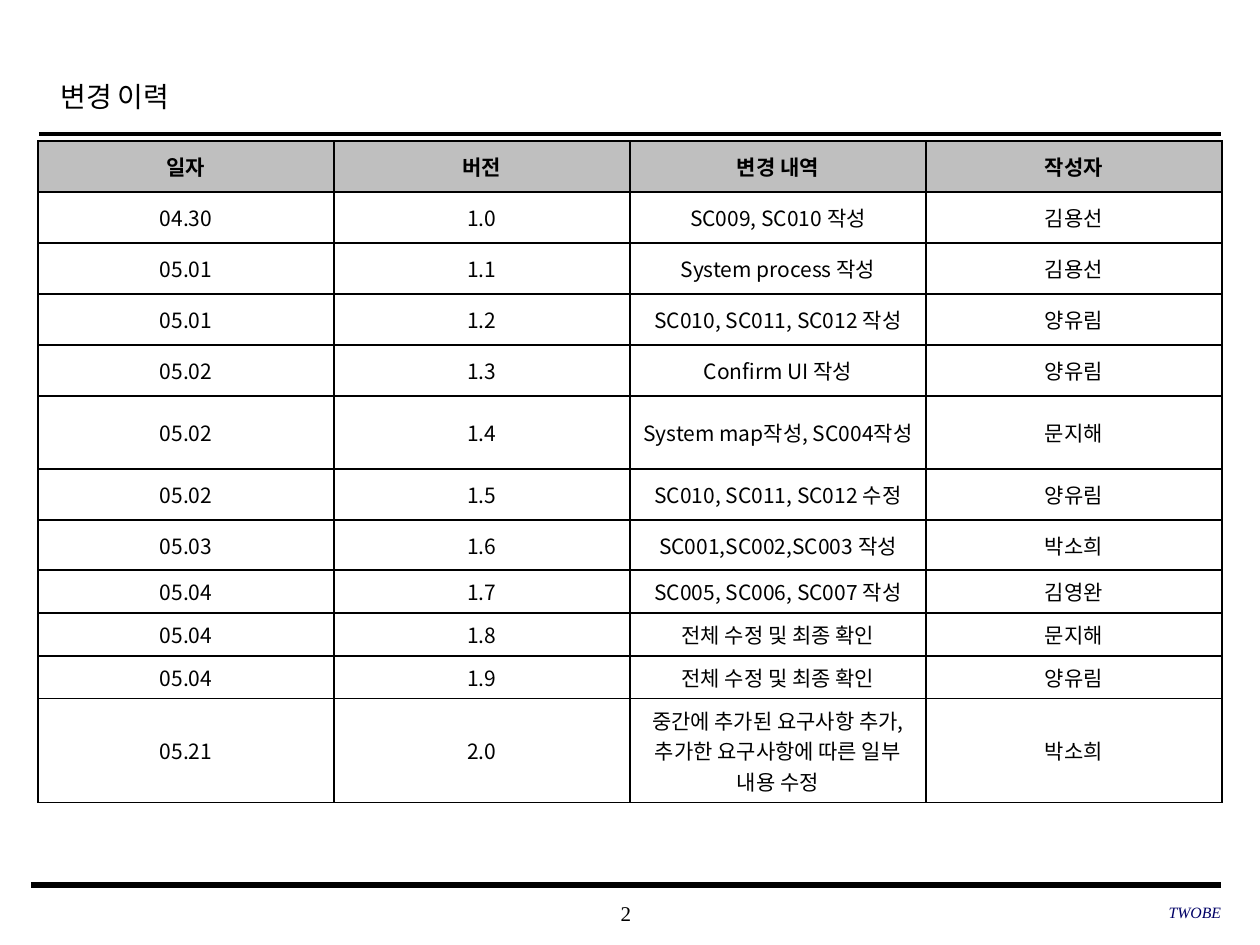
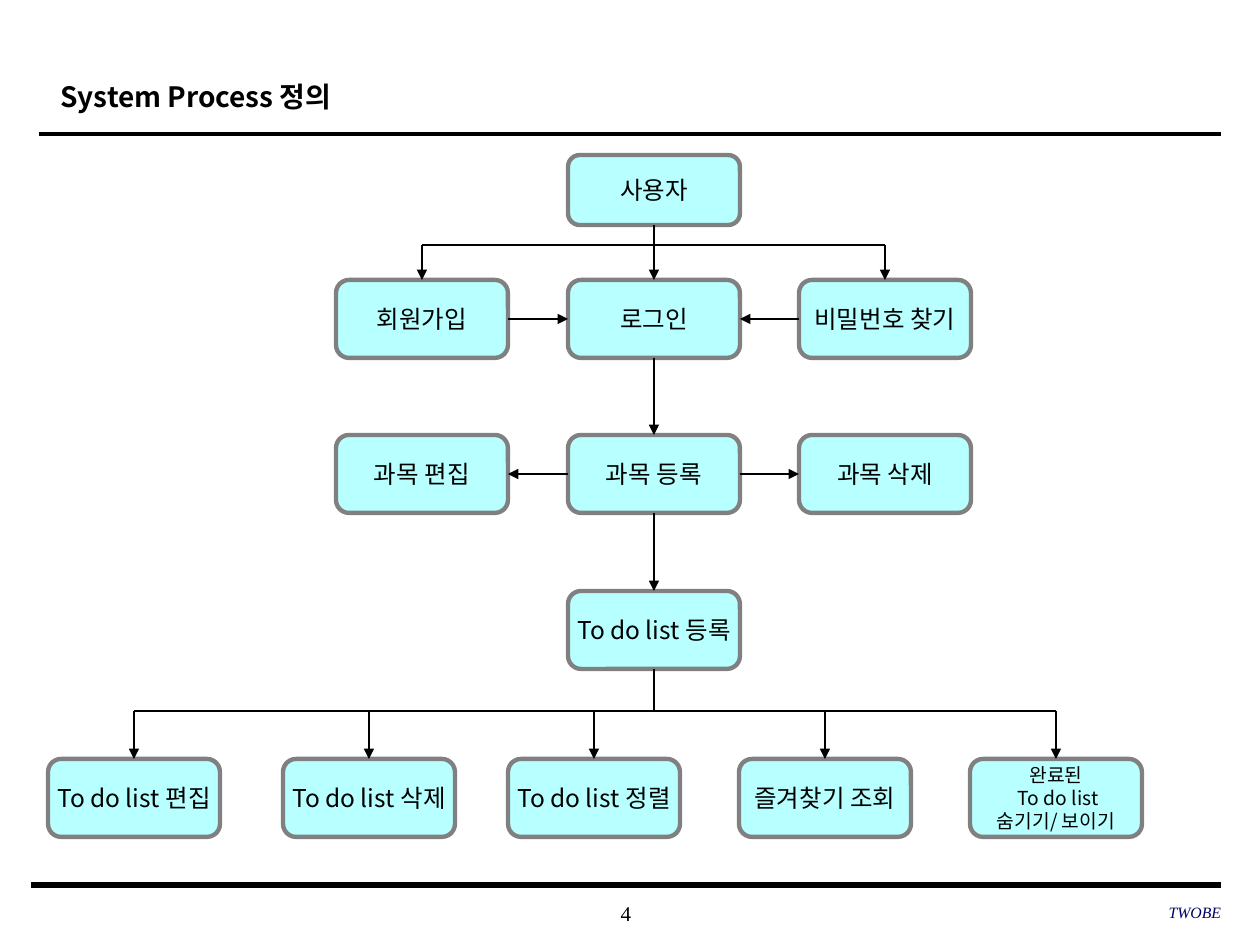
import pptx
import pptx.util
import pptx.dml.color
import pptx.enum.shapes
import pptx.enum.text
import pptx.oxml
import pptx.oxml.ns
import lxml.etree
import dataclasses

PIXEL = pptx.util.Inches(1) / 126
ALIGN = pptx.enum.text.PP_ALIGN
MIDDLE = pptx.enum.text.MSO_ANCHOR.MIDDLE
ROUNDED = pptx.enum.shapes.MSO_SHAPE.ROUNDED_RECTANGLE
STRAIGHT = pptx.enum.shapes.MSO_CONNECTOR.STRAIGHT


@dataclasses.dataclass(frozen=True)
class Theme:
    black: str = "000000"
    white: str = "FFFFFF"
    header: str = "BFBFBF"
    node: str = "B8FFFF"
    outline: str = "808080"
    navy: str = "000066"
    sans: str = "Noto Sans CJK KR"
    serif: str = "Times New Roman"
    title: float = 16
    label: float = 14
    body: float = 12
    small: float = 11
    footer: float = 9
    rule: float = 2.5
    heavy: float = 3
    thin: float = 1


theme = Theme()
rgb = pptx.dml.color.RGBColor.from_string


def write(frame, text, size, font, align=ALIGN.CENTER, bold=False, italic=False, color=theme.black):
    frame.text = text
    for para in frame.paragraphs:
        para.alignment = align
        for span in para.runs:
            span.font.size = pptx.util.Pt(size)
            span.font.name = font
            span.font.bold = bold
            span.font.italic = italic
            span.font.color.rgb = rgb(color)
            east = lxml.etree.SubElement(span.font._element, pptx.oxml.ns.qn("a:ea"))
            east.set("typeface", theme.sans)


def draw_line(page, points, width=theme.thin, arrow=False):
    line = page.shapes.add_connector(STRAIGHT, *[round(value * PIXEL) for value in points])
    line.line.color.rgb = rgb(theme.black)
    line.line.width = pptx.util.Pt(width)
    if arrow:
        tail = lxml.etree.SubElement(line.line._get_or_add_ln(), pptx.oxml.ns.qn("a:tailEnd"))
        tail.set("type", "triangle")
    lxml.etree.SubElement(line._element.spPr, pptx.oxml.ns.qn("a:effectLst"))


deck = pptx.Presentation()
deck.slide_width = round(1260 * PIXEL)
deck.slide_height = round(945 * PIXEL)

headings = [("변경 이력", "2", theme.serif, False), ("System Process 정의", "4", theme.sans, True)]
pages = []
for heading, number, font, bold in headings:
    page = deck.slides.add_slide(deck.slide_layouts[6])
    pages.append(page)
    draw_line(page, (39, 134, 1221, 134), theme.rule)
    draw_line(page, (31, 885, 1221, 885), theme.heavy)

    title = page.shapes.add_textbox(*[round(value * PIXEL) for value in (48, 62, 951, 63)])
    title.text_frame.word_wrap = True
    title.text_frame.vertical_anchor = MIDDLE
    write(title.text_frame, heading, theme.title, font, ALIGN.LEFT, bold)
    title.text_frame.paragraphs[0].line_spacing = 1.2

    footers = [
        ((495, 892, 262, 42), number, theme.body, ALIGN.CENTER, False, theme.black),
        ((835, 891, 386, 42), "TWOBE", theme.footer, ALIGN.RIGHT, True, theme.navy),
    ]
    for bounds, text, size, align, italic, color in footers:
        box = page.shapes.add_textbox(*[round(value * PIXEL) for value in bounds])
        frame = box.text_frame
        frame.word_wrap = True
        frame.vertical_anchor = MIDDLE
        frame.margin_left = frame.margin_right = frame.margin_top = frame.margin_bottom = 0
        write(frame, text, size, theme.serif, align, italic=italic, color=color)

history_page, process_page = pages

history = [
    ("일자", "버전", "변경 내역", "작성자"),
    ("04.30", "1.0", "SC009, SC010 작성", "김용선"),
    ("05.01", "1.1", "System process 작성", "김용선"),
    ("05.01", "1.2", "SC010, SC011, SC012 작성", "양유림"),
    ("05.02", "1.3", "Confirm UI 작성", "양유림"),
    ("05.02", "1.4", "System map작성, SC004작성", "문지해"),
    ("05.02", "1.5", "SC010, SC011, SC012 수정", "양유림"),
    ("05.03", "1.6", "SC001,SC002,SC003 작성", "박소희"),
    ("05.04", "1.7", "SC005, SC006, SC007 작성", "김영완"),
    ("05.04", "1.8", "전체 수정 및 최종 확인", "문지해"),
    ("05.04", "1.9", "전체 수정 및 최종 확인", "양유림"),
    ("05.21", "2.0", "중간에 추가된 요구사항 추가, 추가한 요구사항에 따른 일부 내용 수정", "박소희"),
]
heights = [51] * 5 + [73, 51, 50] + [43] * 3 + [104]
bounds = (38, 141, 4 * 296, sum(heights))
table = history_page.shapes.add_table(
    len(history), 4, *[round(value * PIXEL) for value in bounds]).table
table.first_row = False
table.horz_banding = False
for column in table.columns:
    column.width = round(296 * PIXEL)
for row_index, (entry, height) in enumerate(zip(history, heights)):
    table.rows[row_index].height = round(height * PIXEL)
    is_header = row_index == 0
    for column_index, text in enumerate(entry):
        cell = table.cell(row_index, column_index)
        write(cell.text_frame, text, theme.body, theme.sans, bold=is_header)
        cell.vertical_anchor = MIDDLE
        properties = cell._tc.get_or_add_tcPr()
        for side in ("lnL", "lnR", "lnT", "lnB"):
            properties.append(pptx.oxml.parse_xml(
                f'<a:{side} {pptx.oxml.ns.nsdecls("a")} w="{pptx.util.Pt(theme.thin)}">'
                f'<a:solidFill><a:srgbClr val="{theme.black}"/></a:solidFill></a:{side}>'))
        cell.fill.solid()
        cell.fill.fore_color.rgb = rgb(theme.header if is_header else theme.white)

left, center, right = 422, 654, 885
half = 86
node_height = 78
user_top, login_top, subject_top, todo_top, action_top = 155, 280, 435, 591, 759
user_bottom = user_top + 70
actions = [
    (134, "To do list 편집"),
    (369, "To do list 삭제"),
    (594, "To do list 정렬"),
    (825, "즐겨찾기 조회"),
    (1056, "완료된\n To do list\n숨기기/ 보이기"),
]
nodes = [
    (center, user_top, "사용자"),
    (left, login_top, "회원가입"),
    (center, login_top, "로그인"),
    (right, login_top, "비밀번호 찾기"),
    (left, subject_top, "과목 편집"),
    (center, subject_top, "과목 등록"),
    (right, subject_top, "과목 삭제"),
    (center, todo_top, "To do list 등록"),
] + [(middle, action_top, text) for middle, text in actions]
for middle, top, text in nodes:
    height = user_bottom - user_top if top == user_top else node_height
    bounds = (middle - half, top, 2 * half, height)
    node = process_page.shapes.add_shape(ROUNDED, *[round(value * PIXEL) for value in bounds])
    node.shadow.inherit = False
    node.fill.solid()
    node.fill.fore_color.rgb = rgb(theme.node)
    node.line.color.rgb = rgb(theme.outline)
    node.line.width = pptx.util.Pt(theme.rule)
    node.text_frame.word_wrap = False
    node.text_frame.vertical_anchor = MIDDLE
    write(node.text_frame, text, theme.small if "\n" in text else theme.label, theme.sans)

user_branch, action_branch = 245, 711
login_middle = login_top + node_height // 2
subject_middle = subject_top + node_height // 2
arrows = [
    (center, user_bottom, center, login_top),
    (left, user_branch, left, login_top),
    (right, user_branch, right, login_top),
    (left + half, login_middle, center - half, login_middle),
    (right - half, login_middle, center + half, login_middle),
    (center, login_top + node_height, center, subject_top),
    (center, subject_top + node_height, center, todo_top),
    (center - half, subject_middle, left + half, subject_middle),
    (center + half, subject_middle, right - half, subject_middle),
] + [(middle, action_branch, middle, action_top) for middle, text in actions]
for points in arrows:
    draw_line(process_page, points, arrow=True)

branches = [
    (left, user_branch, right, user_branch),
    (center, todo_top + node_height, center, action_branch),
    (actions[0][0], action_branch, actions[-1][0], action_branch),
]
for points in branches:
    draw_line(process_page, points)

deck.save("out.pptx")
